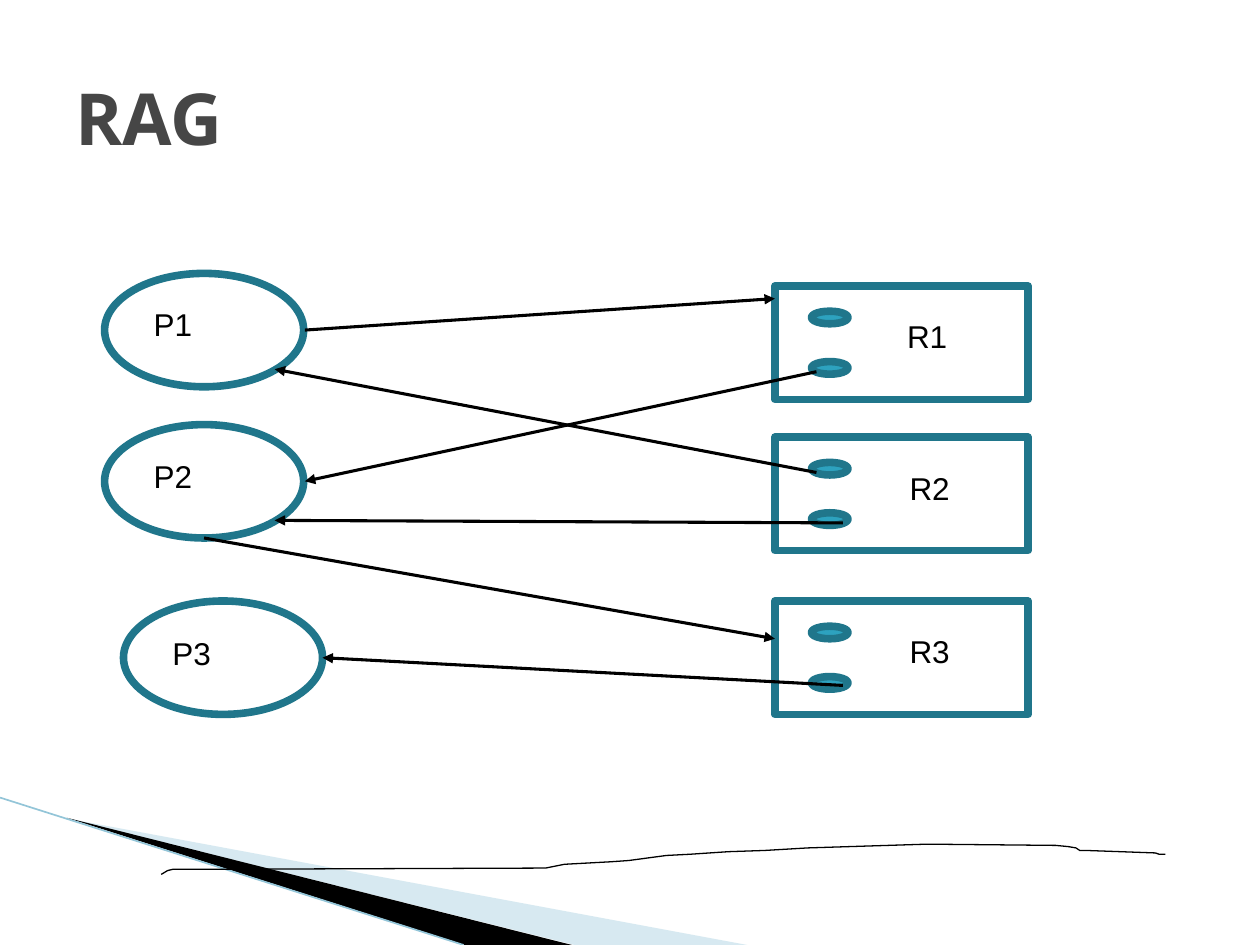
from lxml import etree
from pptx import Presentation
from pptx.dml.color import RGBColor
from pptx.enum.shapes import MSO_CONNECTOR, MSO_SHAPE
from pptx.enum.text import MSO_ANCHOR
from pptx.oxml.ns import qn
from pptx.util import Inches, Pt

STRAIGHT = MSO_CONNECTOR.STRAIGHT
RECTANGLE = MSO_SHAPE.RECTANGLE
OVAL = MSO_SHAPE.OVAL
TOP = MSO_ANCHOR.TOP
MIDDLE = MSO_ANCHOR.MIDDLE

BLACK = RGBColor(0x00, 0x00, 0x00)
TITLE_GRAY = RGBColor(0x46, 0x46, 0x46)
TEAL = RGBColor(0x2D, 0xA2, 0xBF)
DARK_TEAL = RGBColor(0x20, 0x76, 0x8B)
PALE_BLUE = RGBColor(0x9C, 0xCA, 0xDC)
EDGE_BLUE = RGBColor(0x93, 0xC5, 0xD8)

NODE_HEIGHT = 0.9
PROCESS_WIDTH = 1.58
RESOURCE_LEFT, RESOURCE_WIDTH = 6.15, 2.01
INSTANCE_LEFT, INSTANCE_WIDTH, INSTANCE_HEIGHT = 6.44, 0.29, 0.1
INSTANCE_OFFSETS = (0.2, 0.6)

# name, left, top, label drop
PROCESSES = [("P1", 0.83, 2.17, 0.2), ("P2", 0.83, 3.37, 0.21), ("P3", 0.98, 4.77, 0.21)]
# name, top, label left
RESOURCES = [("R1", 2.27, 7.1), ("R2", 3.47, 7.12), ("R3", 4.77, 7.12)]

# Requests run from process to resource, assignments from instance to process.
EDGES = [
    ((2.42, 2.62), (6.15, 2.37)),
    ((6.48, 2.95), (2.42, 3.82)),
    ((6.48, 3.75), (2.18, 2.93)),
    ((6.69, 4.15), (2.18, 4.13)),
    ((1.62, 4.27), (6.15, 5.07)),
    ((6.69, 5.44), (2.56, 5.22)),
]

PALE_WEDGE = [(0.55, 6.5), (5.93, 7.5), (4.56, 7.5)]
BLACK_WEDGE = [(0.53, 6.49), (4.54, 7.5), (3.69, 7.5)]
HAND_DRAWN_LINE = [
    (1.28, 6.94), (1.33, 6.91), (1.37, 6.9), (1.49, 6.9), (4.33, 6.89),
    (4.48, 6.86), (4.85, 6.84), (4.99, 6.83), (5.14, 6.81), (5.29, 6.79),
    (5.48, 6.78), (5.78, 6.76), (6.07, 6.75), (6.41, 6.73), (7.36, 6.7),
    (8.38, 6.71), (8.48, 6.72), (8.54, 6.73), (8.57, 6.75), (8.62, 6.75),
    (9.17, 6.77), (9.2, 6.78), (9.25, 6.78),
]


def paint(shape, fill=None, line=None, width=0):
    """Set fill and outline, where None means none."""
    shape.shadow.inherit = False
    if fill is None:
        shape.fill.background()
    else:
        shape.fill.solid()
        shape.fill.fore_color.rgb = fill
    if line is None:
        shape.line.fill.background()
    else:
        shape.line.color.rgb = line
        shape.line.width = Pt(width)


def add_outline(slide, points, close, **colors):
    corners = [(Inches(x), Inches(y)) for x, y in points]
    builder = slide.shapes.build_freeform(*corners[0])
    builder.add_line_segments(corners[1:], close=close)
    shape = builder.convert_to_shape()
    paint(shape, **colors)
    return shape


def set_opacity(shape, percent):
    color = shape.fill._xPr.find(qn("a:solidFill"))[0]
    etree.SubElement(color, qn("a:alpha"), val=str(percent * 1000))


def add_node(slide, kind, left, top, width, height, fill=None):
    shape = slide.shapes.add_shape(
        kind, Inches(left), Inches(top), Inches(width), Inches(height))
    paint(shape, fill, DARK_TEAL, 4.33)


def add_text(slide, text, left, top, width, height, size,
             font="Arial", color=BLACK, bold=False, anchor=TOP):
    box = slide.shapes.add_textbox(
        Inches(left), Inches(top), Inches(width), Inches(height))
    frame = box.text_frame
    frame.word_wrap = True
    frame.vertical_anchor = anchor
    paragraph = frame.paragraphs[0]
    paragraph.text = text
    paragraph.font.name = font
    paragraph.font.size = Pt(size)
    paragraph.font.bold = bold
    paragraph.font.color.rgb = color


def add_line(slide, start, end, color, width, arrow=False):
    connector = slide.shapes.add_connector(
        STRAIGHT, *(Inches(value) for value in (*start, *end)))
    connector.line.color.rgb = color
    connector.line.width = Pt(width)
    if arrow:
        line = connector.line._get_or_add_ln()
        etree.SubElement(line, qn("a:tailEnd"), type="triangle")
    etree.SubElement(connector._element.spPr, qn("a:effectLst"))


def add_decoration(slide):
    pale_wedge = add_outline(slide, PALE_WEDGE, True, fill=PALE_BLUE)
    set_opacity(pale_wedge, 40)
    add_outline(slide, BLACK_WEDGE, True, fill=BLACK)
    add_line(slide, (0, 6.33), (3.68, 7.5), EDGE_BLUE, 0.95)
    add_outline(slide, HAND_DRAWN_LINE, False, line=BLACK, width=0.75)


def add_resource(slide, name, top, label_left):
    add_node(slide, RECTANGLE, RESOURCE_LEFT, top, RESOURCE_WIDTH, NODE_HEIGHT)
    for offset in INSTANCE_OFFSETS:
        add_node(slide, OVAL, INSTANCE_LEFT, top + offset,
                 INSTANCE_WIDTH, INSTANCE_HEIGHT, TEAL)
    add_text(slide, name, label_left, top + 0.2, 0.91, 0.48, 18)


def add_process(slide, name, left, top, label_drop):
    add_node(slide, OVAL, left, top, PROCESS_WIDTH, NODE_HEIGHT)
    add_text(slide, name, left + 0.29, top + label_drop, 0.88, 0.48, 18)


def main():
    presentation = Presentation()
    presentation.slide_width = Inches(10)
    presentation.slide_height = Inches(7.5)
    slide = presentation.slides.add_slide(presentation.slide_layouts[6])

    add_decoration(slide)
    add_text(slide, "RAG", 0.5, 0.3, 9, 1.25, 41,
             font="Noto Sans", color=TITLE_GRAY, bold=True, anchor=MIDDLE)
    for resource in RESOURCES:
        add_resource(slide, *resource)
    for process in PROCESSES:
        add_process(slide, *process)
    for start, end in EDGES:
        add_line(slide, start, end, BLACK, 1.75, arrow=True)

    presentation.save("out.pptx")


if __name__ == "__main__":
    main()
